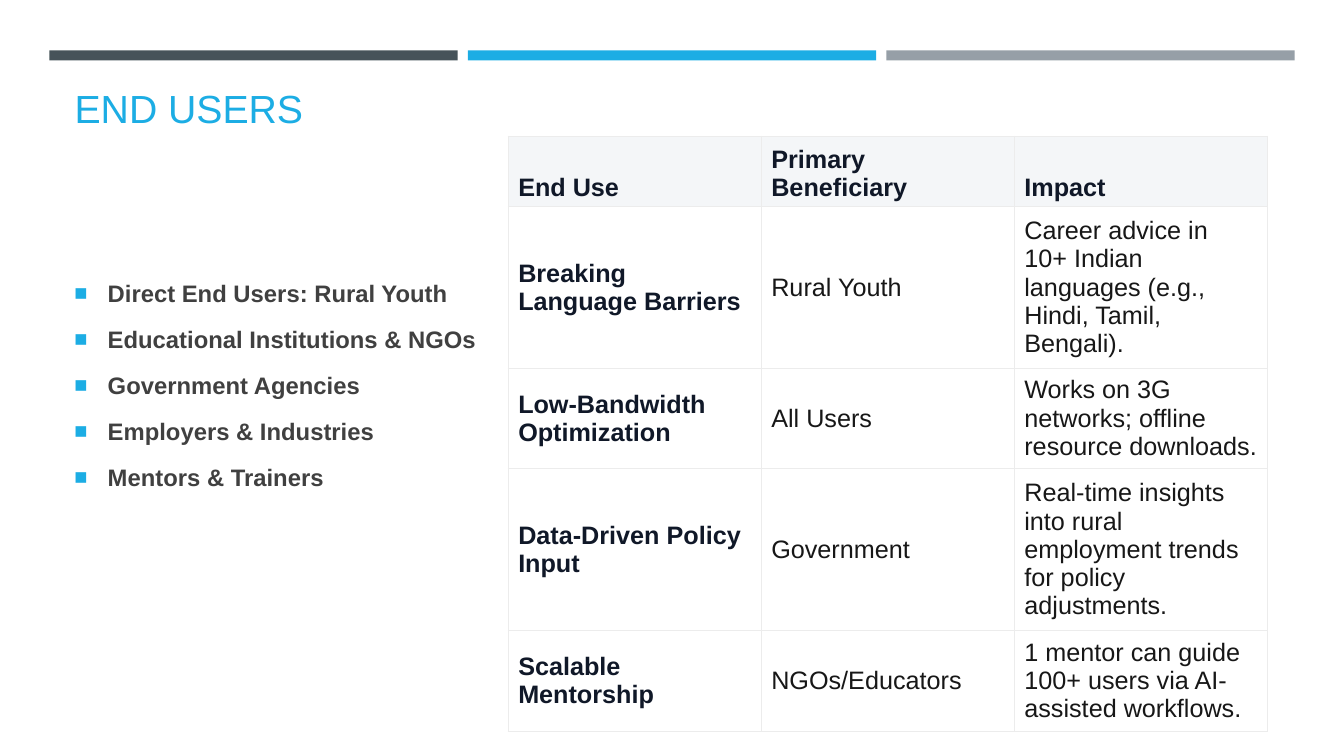
from lxml.etree import SubElement
from pptx import Presentation
from pptx.dml.color import RGBColor
from pptx.enum.shapes import MSO_SHAPE
from pptx.enum.text import MSO_ANCHOR, MSO_AUTO_SIZE, PP_ALIGN
from pptx.oxml.ns import qn
from pptx.util import Inches, Pt

FONT = "Arial"
COLORS = {
    "slate": "465359", "blue": "1CADE4", "gray": "969FA7",
    "body": "404040", "heading": "101828", "cell": "171717",
    "header_fill": "F4F6F8", "white": "FFFFFF", "border": "ECECEC",
}
END_USERS = [
    "Direct End Users: Rural Youth",
    "Educational Institutions & NGOs",
    "Government Agencies",
    "Employers & Industries",
    "Mentors & Trainers",
]
END_USES = [
    ("End Use", "Primary Beneficiary", "Impact"),
    ("Breaking Language Barriers", "Rural Youth",
     "Career advice in 10+ Indian languages (e.g., Hindi, Tamil, Bengali)."),
    ("Low-Bandwidth Optimization", "All Users",
     "Works on 3G networks; offline resource downloads."),
    ("Data-Driven Policy Input", "Government",
     "Real-time insights into rural employment trends for policy adjustments."),
    ("Scalable Mentorship", "NGOs/Educators",
     "1 mentor can guide 100+ users via AI-assisted workflows."),
]
ROW_HEIGHTS = [0.67, 1.5, 0.97, 1.5, 0.97]


def color(name):
    return RGBColor.from_string(COLORS[name])


class SlideBuilder:
    """Holds the current slide and its text style."""

    def __init__(self, page):
        self.page = page

    def place(self, box, left, top, width, height):
        box.left, box.top = Inches(left), Inches(top)
        box.width, box.height = Inches(width), Inches(height)

    def style(self, paragraph, size, color_name, bold=False):
        paragraph.font.name = FONT
        paragraph.font.size = Pt(size)
        paragraph.font.bold = bold
        paragraph.font.color.rgb = color(color_name)

    def bar(self, left, top, width, height, fill):
        bar = self.page.shapes.add_shape(
            MSO_SHAPE.RECTANGLE, Inches(left), Inches(top), Inches(width), Inches(height))
        bar.shadow.inherit = False
        bar.fill.solid()
        bar.fill.fore_color.rgb = color(fill)
        bar.line.fill.background()

    def title(self, text, *area):
        title = self.page.shapes.title
        self.place(title, *area)
        frame = title.text_frame
        frame.text = text
        frame.auto_size = MSO_AUTO_SIZE.NONE
        frame.vertical_anchor = MSO_ANCHOR.BOTTOM
        frame.paragraphs[0].alignment = PP_ALIGN.LEFT
        self.style(frame.paragraphs[0], 28, "blue")

    def bullets(self, items, *area):
        box = self.page.shapes.add_textbox(0, 0, 0, 0)
        self.place(box, *area)
        frame = box.text_frame
        frame.word_wrap = True
        frame.vertical_anchor = MSO_ANCHOR.MIDDLE
        frame.margin_bottom = Inches(0.39)
        frame.text = "\n".join(items)
        for paragraph in frame.paragraphs:
            self.style(paragraph, 17, "body", bold=True)
            paragraph.line_spacing = 1.1
            paragraph.space_before, paragraph.space_after = Pt(4.4), Pt(6)
            self.square_bullet(paragraph)

    def square_bullet(self, paragraph):
        properties = paragraph._p.get_or_add_pPr()
        properties.set("marL", str(Inches(0.33)))
        properties.set("indent", str(-Inches(0.33)))
        # Bullet elements go before the default run properties
        bullet_color = properties.makeelement(qn("a:buClr"), {})
        SubElement(bullet_color, qn("a:srgbClr"), val=COLORS["blue"])
        defaults = properties.find(qn("a:defRPr"))
        for element in (
            bullet_color,
            properties.makeelement(qn("a:buSzPct"), {"val": "92000"}),
            properties.makeelement(qn("a:buFont"), {"typeface": FONT}),
            properties.makeelement(qn("a:buChar"), {"char": "■"}),
        ):
            defaults.addprevious(element)

    def table(self, rows, heights, left, top, width):
        table = self.page.shapes.add_table(
            len(rows), len(rows[0]), Inches(left), Inches(top),
            Inches(width), Inches(sum(heights))).table
        for row, height in zip(table.rows, heights):
            row.height = Inches(height)
        for row_index, texts in enumerate(rows):
            for column_index, text in enumerate(texts):
                self.cell(table.cell(row_index, column_index), text,
                          row_index == 0, column_index == 0)

    def cell(self, cell, text, is_header, is_first):
        cell.text = text
        cell.vertical_anchor = MSO_ANCHOR.BOTTOM if is_header else MSO_ANCHOR.MIDDLE
        strong = is_header or is_first
        self.style(cell.text_frame.paragraphs[0], 18,
                   "heading" if strong else "cell", bold=strong)
        # Borders come before the fill in the cell properties
        properties = cell._tc.get_or_add_tcPr()
        for side in ("lnL", "lnR", "lnT", "lnB"):
            line = SubElement(properties, qn(f"a:{side}"), w=str(Pt(0.6)))
            fill = SubElement(line, qn("a:solidFill"))
            SubElement(fill, qn("a:srgbClr"), val=COLORS["border"])
        cell.fill.solid()
        cell.fill.fore_color.rgb = color("header_fill" if is_header else "white")


def main():
    deck = Presentation()
    deck.slide_width, deck.slide_height = Inches(13.33), Inches(7.5)
    builder = SlideBuilder(deck.slides.add_slide(deck.slide_layouts[5]))

    # Bars across the top
    for index, fill in enumerate(("slate", "blue", "gray")):
        builder.bar(0.49 + index * 4.15, 0.5, 4.05, 0.1, fill)

    # Title, list of users and table of uses
    builder.title("END USERS", 0.64, 0.77, 12.06, 0.58)
    builder.bullets(END_USERS, 0.64, 1.42, 4.31, 5.11)
    builder.table(END_USES, ROW_HEIGHTS, 5.04, 1.35, 7.53)

    deck.save("out.pptx")


if __name__ == "__main__":
    main()
